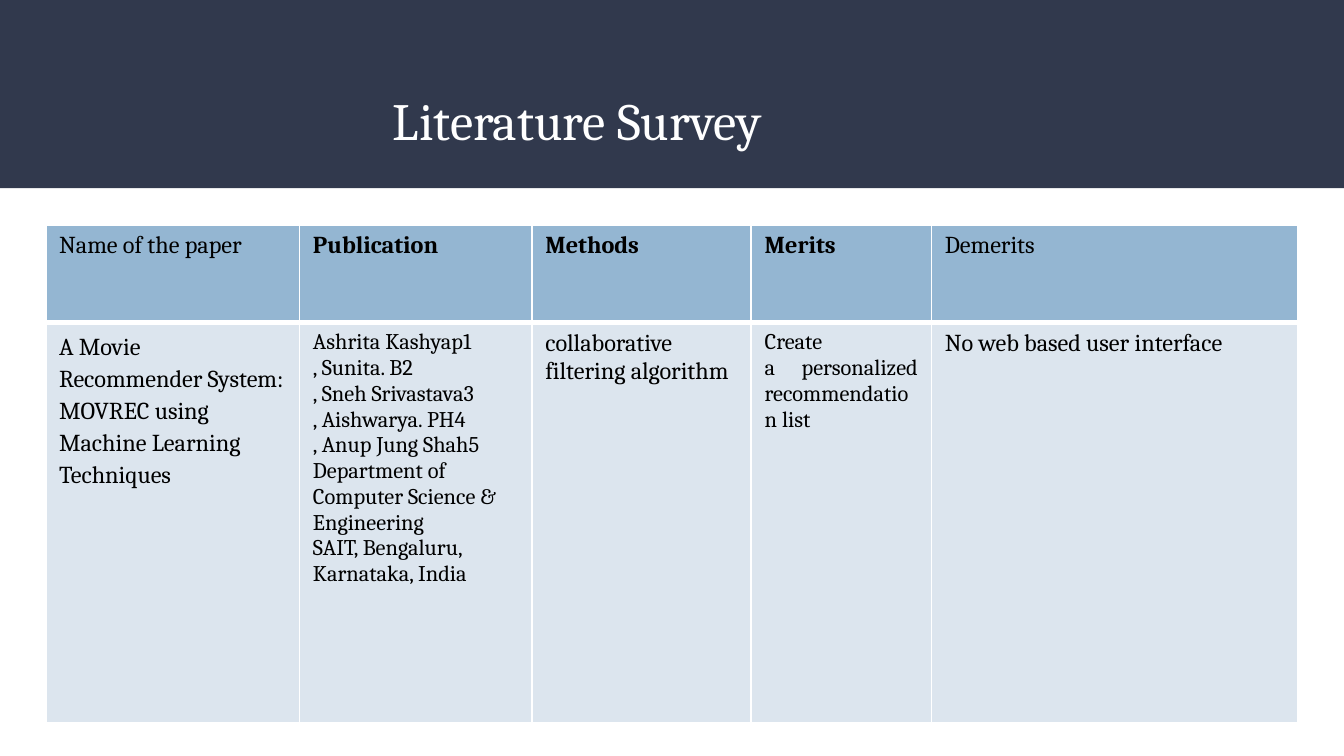
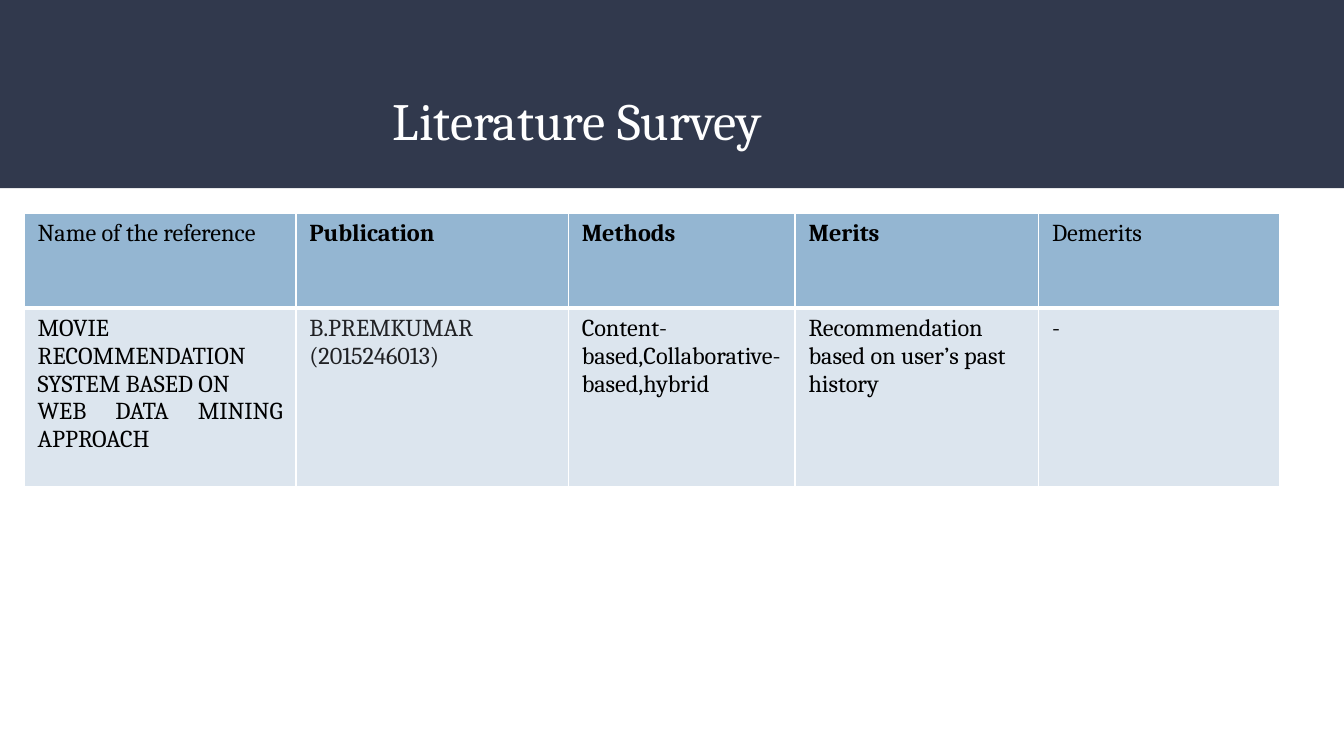
import pptx
import pptx.dml.color
import pptx.enum.shapes
import pptx.enum.text
import pptx.oxml
import pptx.oxml.ns
import pptx.util

Pt = pptx.util.Pt
LEFT = pptx.enum.text.PP_ALIGN.LEFT
JUSTIFY = pptx.enum.text.PP_ALIGN.JUSTIFY
FONT = "Cambria"
NAVY, HEADER_BLUE, PALE_BLUE = "31394D", "94B6D2", "DCE5EE"
WHITE, BLACK, CHARCOAL = "FFFFFF", "000000", "202124"


def paint(target, colour):
    if hasattr(target, "solid"):
        target.solid()
        target = target.fore_color
    target.rgb = pptx.dml.color.RGBColor.from_string(colour)


def write_cell(cell, lines, fill, borders, size=13, bold=False, align=LEFT, colour=BLACK, spacing=None):
    for side, width in zip("LRTB", borders):
        cell._tc.get_or_add_tcPr().append(pptx.oxml.parse_xml(
            f'<a:ln{side} {pptx.oxml.ns.nsdecls("a")} w="{Pt(width)}">'
            f'<a:solidFill><a:srgbClr val="{WHITE}"/></a:solidFill></a:ln{side}>'))
    paint(cell.fill, fill)
    for number, line in enumerate(lines):
        frame = cell.text_frame
        paragraph = frame.add_paragraph() if number else frame.paragraphs[0]
        paragraph.alignment = align
        paragraph.line_spacing = spacing
        run = paragraph.add_run()
        run.text = line
        run.font.name = FONT
        run.font.size = Pt(size)
        run.font.bold = bold
        paint(run.font.color, colour)


surveys = [
    {
        "left": 24.5, "top": 120.5,
        "columns": [136, 124.5, 117.5, 96.5, 196.5],
        "rows": [52.5, 214],
        "subject": "Name of the paper",
        "entries": [
            (["A Movie Recommender System: MOVREC using Machine Learning",
              "Techniques"], {"spacing": 1.15}),
            (["Ashrita Kashyap1", ", Sunita. B2", ", Sneh Srivastava3",
              ", Aishwarya. PH4", ", Anup Jung Shah5",
              "Department of Computer Science & Engineering",
              "SAIT, Bengaluru, Karnataka, India"], {"size": 12}),
            (["collaborative filtering algorithm"], {"align": JUSTIFY}),
            (["Create", "a personalized recommendation list"],
             {"size": 12, "align": JUSTIFY}),
            (["No web based user interface"], {}),
        ],
    },
    {
        "left": 13, "top": 114,
        "columns": [145.5, 146, 121.5, 130.5, 129],
        "rows": [51, 96],
        "subject": "Name of the reference",
        "entries": [
            (["MOVIE RECOMMENDATION SYSTEM BASED ON",
              "WEB DATA MINING APPROACH"], {"align": JUSTIFY}),
            (["B.PREMKUMAR", "(2015246013)"],
             {"align": JUSTIFY, "colour": CHARCOAL}),
            (["Content-based,Collaborative-based,hybrid"], {"align": JUSTIFY}),
            (["Recommendation based on user’s past history"], {}),
            (["-"], {}),
        ],
    },
]

deck = pptx.Presentation()
deck.slide_width = Pt(720)
deck.slide_height = Pt(405)
layout = deck.slide_layouts[5]

for survey in surveys:
    slide = deck.slides.add_slide(layout)
    if survey is surveys[0]:
        band = slide.shapes.add_shape(
            pptx.enum.shapes.MSO_SHAPE.RECTANGLE, 0, 0, Pt(720), Pt(100.8))
        band.shadow.inherit = False
        paint(band.fill, NAVY)
        band.line.fill.background()
        layout.shapes.element.insert(2, band.element)

    title = slide.shapes.title
    title.left, title.top, title.width, title.height = Pt(24.5), Pt(39.5), Pt(671), Pt(49)
    heading = title.text_frame
    heading.auto_size = pptx.enum.text.MSO_AUTO_SIZE.NONE
    heading.vertical_anchor = pptx.enum.text.MSO_ANCHOR.MIDDLE
    heading.margin_left = Pt(186)
    heading.margin_right = heading.margin_top = heading.margin_bottom = Pt(7.2)
    heading.paragraphs[0].alignment = LEFT
    heading_run = heading.paragraphs[0].add_run()
    heading_run.text = "Literature Survey"
    heading_run.font.name = FONT
    heading_run.font.size = Pt(28)
    paint(heading_run.font.color, WHITE)

    grid = slide.shapes.add_table(
        2, 5, Pt(survey["left"]), Pt(survey["top"]),
        Pt(sum(survey["columns"])), Pt(sum(survey["rows"]))).table
    for column, width in zip(grid.columns, survey["columns"]):
        column.width = Pt(width)
    for row, height in zip(grid.rows, survey["rows"]):
        row.height = Pt(height)

    labels = [survey["subject"], "Publication", "Methods", "Merits", "Demerits"]
    for index, (label, (lines, style)) in enumerate(zip(labels, survey["entries"])):
        write_cell(grid.cell(0, index), [label], HEADER_BLUE, (1, 1, 1, 3),
                   bold=0 < index < 4)
        write_cell(grid.cell(1, index), lines, PALE_BLUE, (1, 1, 3, 1), **style)

deck.save("out.pptx")
